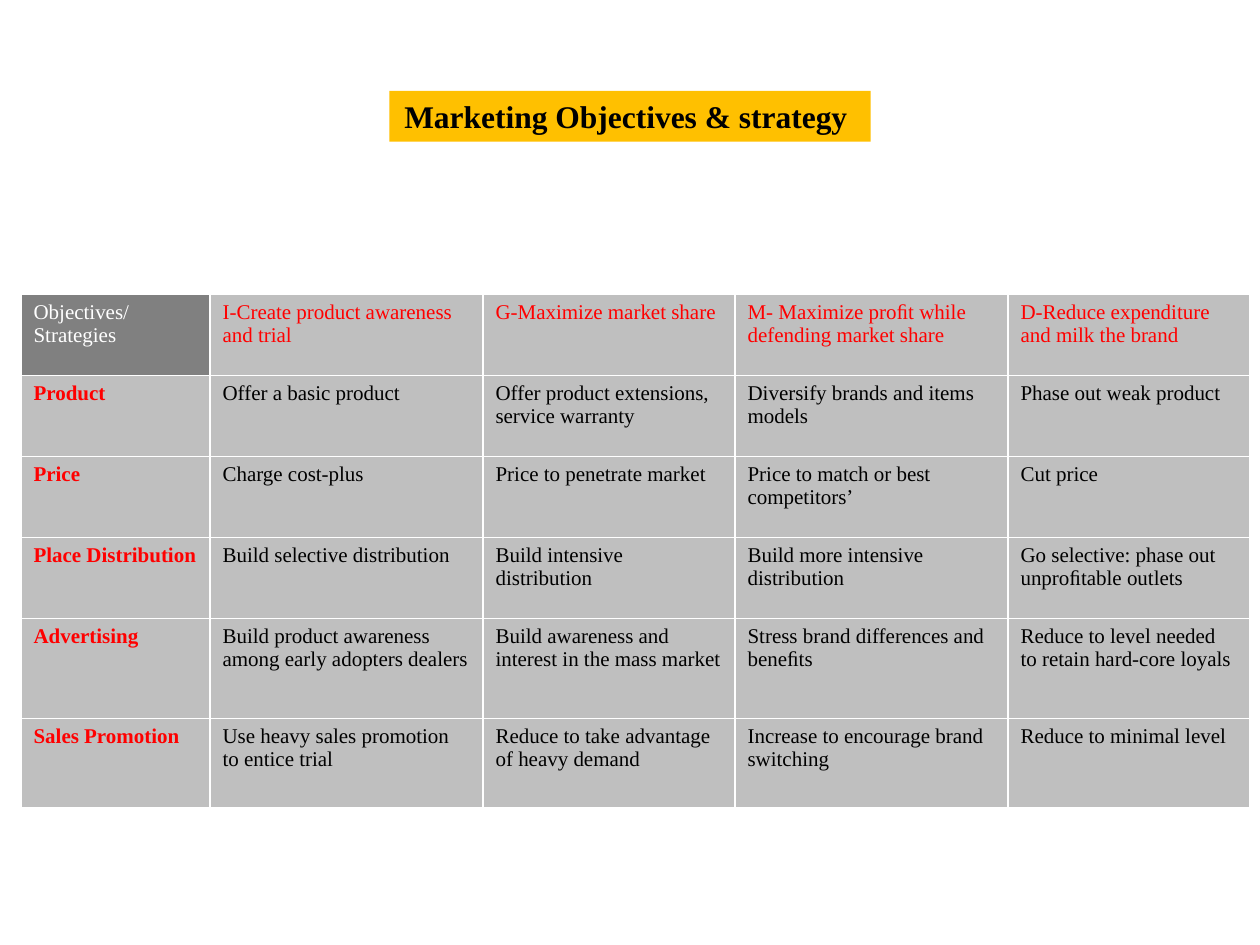
from lxml import etree
from pptx import Presentation
from pptx.dml.color import RGBColor
from pptx.enum import shapes, text
from pptx.oxml.ns import qn
from pptx.util import Pt

FONT = "Times New Roman"
WHITE = RGBColor(0xFF, 0xFF, 0xFF)
BLACK = RGBColor(0, 0, 0)
RED = RGBColor(0xFF, 0, 0)
AMBER = RGBColor(0xFF, 0xC0, 0)
DARK_GREY = RGBColor(0x80, 0x80, 0x80)
LIGHT_GREY = RGBColor(0xBF, 0xBF, 0xBF)

# Content
TITLE = "Marketing Objectives & strategy "
ROWS = [
    ["Objectives/ Strategies", "I-Create product awareness and trial",
     "G-Maximize market share",
     "M- Maximize proﬁt while defending market share",
     "D-Reduce expenditure and milk the brand"],
    ["Product", "Offer a basic product",
     "Offer product extensions, service warranty",
     "Diversify brands and items models", "Phase out weak product"],
    ["Price", "Charge cost-plus", "Price to penetrate market",
     "Price to match or best competitors’", "Cut price"],
    ["Place Distribution", "Build selective distribution",
     "Build intensive distribution", "Build more intensive distribution",
     "Go selective: phase out unproﬁtable outlets"],
    ["Advertising", "Build product awareness among early adopters dealers",
     "Build awareness and interest in the mass market",
     "Stress brand differences and beneﬁts",
     "Reduce to level needed to retain hard-core loyals"],
    ["Sales Promotion", "Use heavy sales promotion to entice trial",
     "Reduce to take advantage of heavy demand",
     "Increase to encourage brand switching", "Reduce to minimal level"],
]
COL_WIDTHS = [108, 156, 144, 156, 138]
ROW_HEIGHTS = [46.3, 46.3, 46.3, 46.3, 57.3, 51]


def style(p, size, color, bold):
    font = p.runs[0].font
    font.name, font.size, font.bold = FONT, Pt(size), bold
    font.color.rgb = color


def set_borders(cell):
    """White cell edges; borders must come before the fill in tcPr."""
    tc_pr = cell._tc.get_or_add_tcPr()
    for tag in ("a:lnL", "a:lnR", "a:lnT", "a:lnB"):
        ln = etree.SubElement(tc_pr, qn(tag), w=str(Pt(1)))
        fill = etree.SubElement(ln, qn("a:solidFill"))
        etree.SubElement(fill, qn("a:srgbClr"), val=str(WHITE))


prs = Presentation()
prs.slide_width, prs.slide_height = Pt(720), Pt(540)
s = prs.slides.add_slide(prs.slide_layouts[6])

# Strategy table
tbl = s.shapes.add_table(len(ROWS), len(COL_WIDTHS), Pt(12), Pt(168.2),
                         Pt(sum(COL_WIDTHS)), Pt(sum(ROW_HEIGHTS))).table
for col, width in zip(tbl.columns, COL_WIDTHS):
    col.width = Pt(width)
for row, height in zip(tbl.rows, ROW_HEIGHTS):
    row.height = Pt(height)

for i, row in enumerate(ROWS):
    for j, label in enumerate(row):
        header, corner = i == 0, i == j == 0
        cell = tbl.cell(i, j)
        cell.text_frame.text = label
        color = WHITE if corner else RED if header or j == 0 else BLACK
        style(cell.text_frame.paragraphs[0], 12, color, j == 0 and not header)
        set_borders(cell)
        cell.fill.solid()
        cell.fill.fore_color.rgb = DARK_GREY if corner else LIGHT_GREY

# Title block: grows around its middle to hold the text and tall margins
sp = s.shapes.add_shape(shapes.MSO_SHAPE.RECTANGLE,
                        Pt(222.5), Pt(52), Pt(275), Pt(29))
sp.shadow.inherit = False
sp.fill.solid()
sp.fill.fore_color.rgb = AMBER
sp.line.fill.background()
tf = sp.text_frame
tf.word_wrap = False
tf.auto_size = text.MSO_AUTO_SIZE.SHAPE_TO_FIT_TEXT
tf.margin_top = tf.margin_bottom = Pt(46)
tf.vertical_anchor = text.MSO_ANCHOR.MIDDLE
tf.text = TITLE
p = tf.paragraphs[0]
p.alignment = text.PP_ALIGN.CENTER
style(p, 18, BLACK, True)

prs.save("out.pptx")
